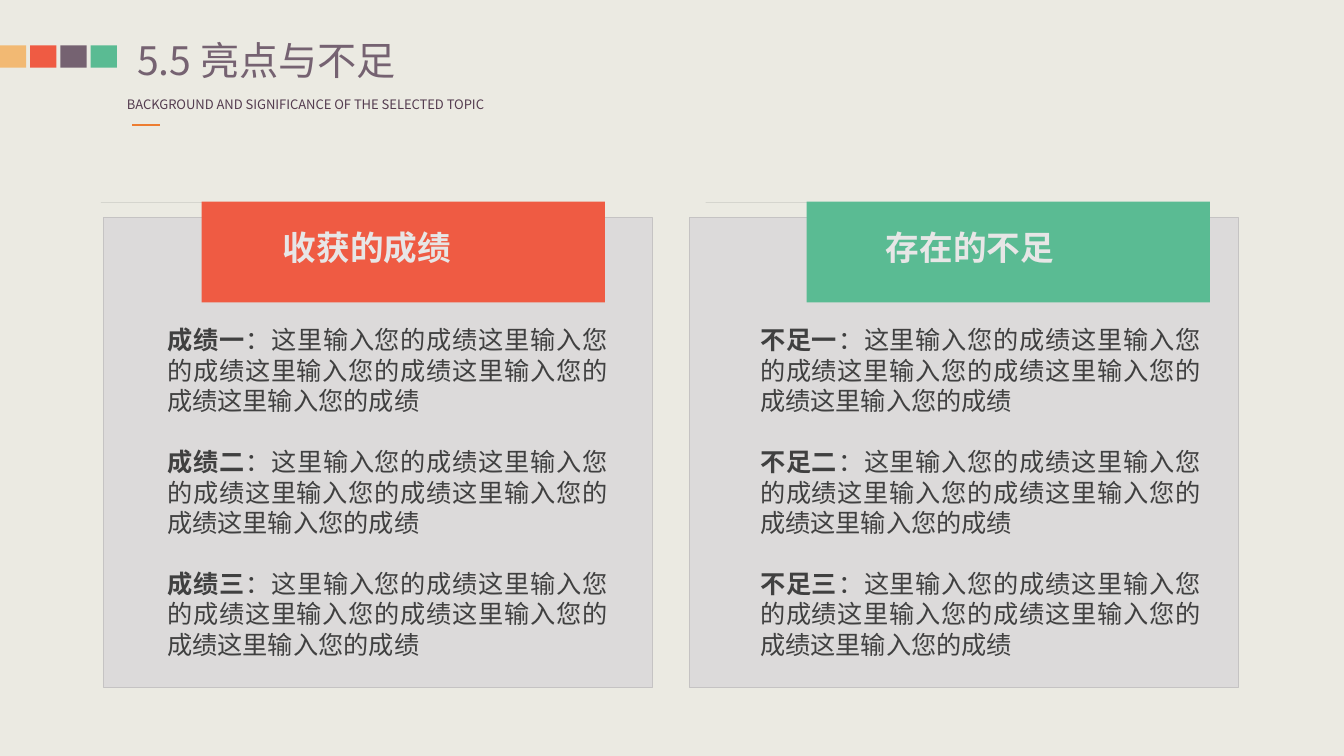
from dataclasses import dataclass

from lxml.etree import SubElement
from pptx import Presentation
from pptx.dml.color import RGBColor
from pptx.enum.shapes import MSO_CONNECTOR, MSO_SHAPE
from pptx.enum.text import MSO_ANCHOR, PP_ALIGN
from pptx.oxml.ns import qn
from pptx.util import Inches, Pt

FONT = "Noto Sans CJK SC"
RED, GREEN, PURPLE, YELLOW = "EF5B43", "5ABB93", "756271", "F2B973"
BODY_LINE = 21.75


@dataclass
class Panel:
    left: float
    ribbon_left: float
    heading_center: float
    text_left: float
    color: str
    heading: str
    label: str


PANELS = [
    Panel(1.03, 1.67, 3.64, 1.56, RED, "收获的成绩", "成绩"),
    Panel(6.84, 7.58, 9.62, 7.44, GREEN, "存在的不足", "不足"),
]


def rgb(value: str) -> RGBColor:
    return RGBColor.from_string(value)


def paint(shape, fill: str, line: str | None = None) -> None:
    shape.shadow.inherit = False
    shape.fill.solid()
    shape.fill.fore_color.rgb = rgb(fill)
    if line:
        shape.line.color.rgb = rgb(line)
        shape.line.width = Pt(0.75)
    else:
        shape.line.fill.background()


def add_rectangle(slide, left: float, top: float, width: float, height: float,
                  fill: str, line: str | None = None) -> None:
    shape = slide.shapes.add_shape(
        MSO_SHAPE.RECTANGLE, Inches(left), Inches(top), Inches(width), Inches(height))
    paint(shape, fill, line)


def add_polygon(slide, points: list[tuple[float, float]], fill: str) -> None:
    builder = slide.shapes.build_freeform(*points[0], scale=Inches(1))
    builder.add_line_segments(points[1:], close=True)
    paint(builder.convert_to_shape(), fill)


def add_text_box(slide, left: float, top: float, width: float, height: float):
    return slide.shapes.add_textbox(
        Inches(left), Inches(top), Inches(width), Inches(height))


def write_text(shape, paragraphs: list[list[tuple[str, bool]]], *, size: float, color: str,
               align=PP_ALIGN.LEFT, anchor=MSO_ANCHOR.MIDDLE, wrap: bool = True,
               line_spacing: float | None = None, space_after: float = 0) -> None:
    frame = shape.text_frame
    frame.word_wrap = wrap
    frame.vertical_anchor = anchor
    for index, runs in enumerate(paragraphs):
        paragraph = frame.add_paragraph() if index else frame.paragraphs[0]
        paragraph.alignment = align
        paragraph.space_after = Pt(space_after)
        if line_spacing:
            paragraph.line_spacing = Pt(line_spacing)
        for text, bold in runs:
            run = paragraph.add_run()
            run.text = text
            run.font.size = Pt(size)
            run.font.bold = bold
            run.font.name = FONT
            run.font.color.rgb = rgb(color)
            SubElement(run.font._element, qn("a:ea"), typeface=FONT)


def add_header(slide) -> None:
    for index, color in enumerate([YELLOW, RED, PURPLE, GREEN]):
        add_rectangle(slide, index * 0.3, 0.45, 0.26, 0.22, color)

    title = slide.shapes.title
    title.left, title.top = Inches(1.36), Inches(0.36)
    title.width, title.height = Inches(3.99), Inches(0.47)
    frame = title.text_frame
    frame.margin_left = frame.margin_right = frame.margin_top = frame.margin_bottom = 0
    write_text(title, [[("5.5 亮点与不足", False)]], size=28, color=PURPLE)

    subtitle = add_text_box(slide, 1.16, 0.91, 4.07, 0.26)
    write_text(subtitle, [[("BACKGROUND AND SIGNIFICANCE OF THE SELECTED TOPIC", False)]],
               size=9.3, color="543C4F", wrap=False)

    rule = slide.shapes.add_connector(
        MSO_CONNECTOR.STRAIGHT, Inches(1.31), Inches(1.24), Inches(1.59), Inches(1.24))
    rule.line.color.rgb = rgb("ED7D31")
    rule.line.width = Pt(1.5)
    SubElement(rule._element.spPr, qn("a:effectLst"))


def add_panel(slide, panel: Panel) -> None:
    add_rectangle(slide, panel.left, 2.16, 5.44, 4.66, "DCDADA", "C5C3C3")

    left, right = panel.ribbon_left, panel.ribbon_left + 3.99
    add_polygon(slide, [(left, 2), (right, 2), (right + 0.3, 2.16), (left - 0.31, 2.16)],
                "41464A")
    add_polygon(slide, [(left, 2), (right, 2), (right, 2.78), (left + 1.98, 2.96),
                        (left, 2.78)], panel.color)

    heading = add_text_box(slide, panel.heading_center - 1.35, 2.2, 2.7, 0.5)
    write_text(heading, [[(panel.heading, True)]], size=24, color="E7E6E6",
               align=PP_ALIGN.CENTER)

    body = add_text_box(slide, panel.text_left, 3.17, 4.57, 3.43)
    sentence = "：" + "这里输入您的成绩" * 5
    paragraphs = [[(panel.label + number, True), (sentence, False)] for number in "一二三"]
    write_text(body, paragraphs, size=18, color="404040", align=PP_ALIGN.JUSTIFY,
               anchor=MSO_ANCHOR.TOP, line_spacing=BODY_LINE, space_after=BODY_LINE)


def main() -> None:
    presentation = Presentation()
    presentation.slide_width, presentation.slide_height = Inches(13.33), Inches(7.5)
    slide = presentation.slides.add_slide(presentation.slide_layouts[5])
    slide.background.fill.solid()
    slide.background.fill.fore_color.rgb = rgb("EBEAE2")
    add_header(slide)
    for panel in PANELS:
        add_panel(slide, panel)
    presentation.save("out.pptx")


main()
